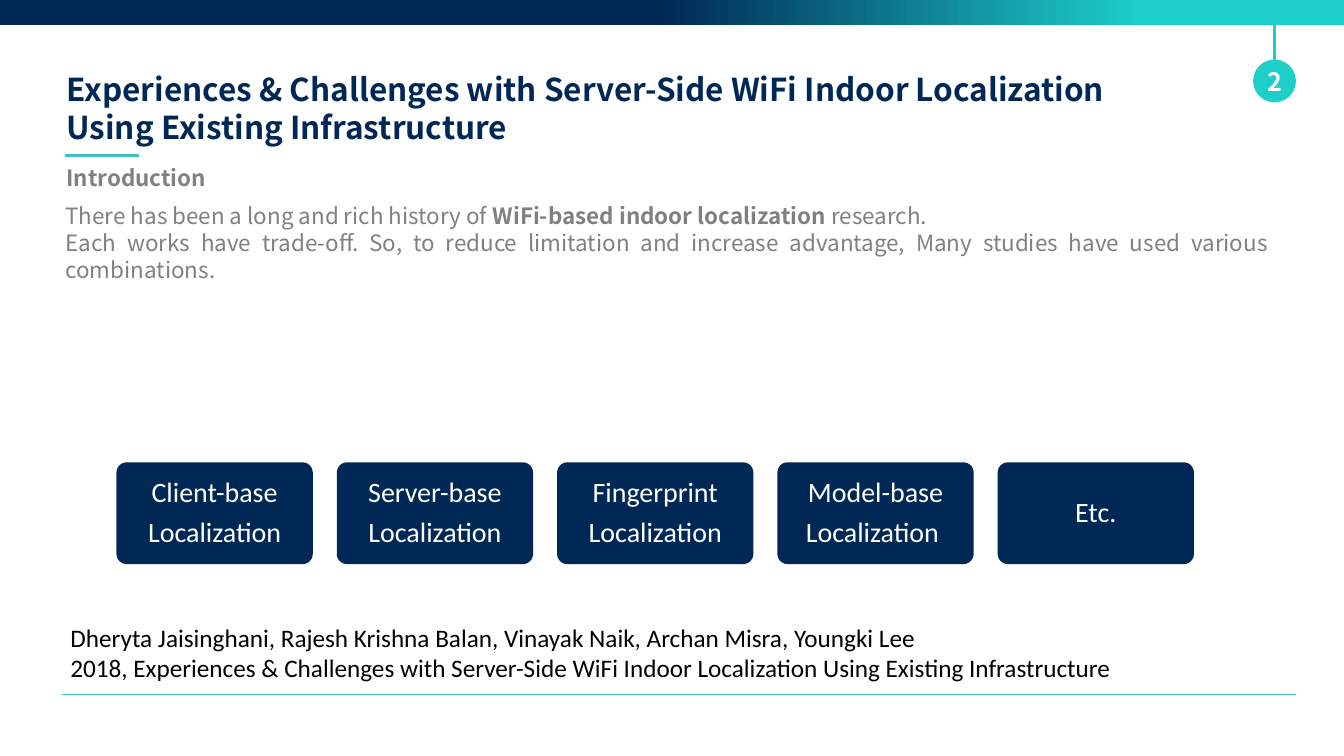
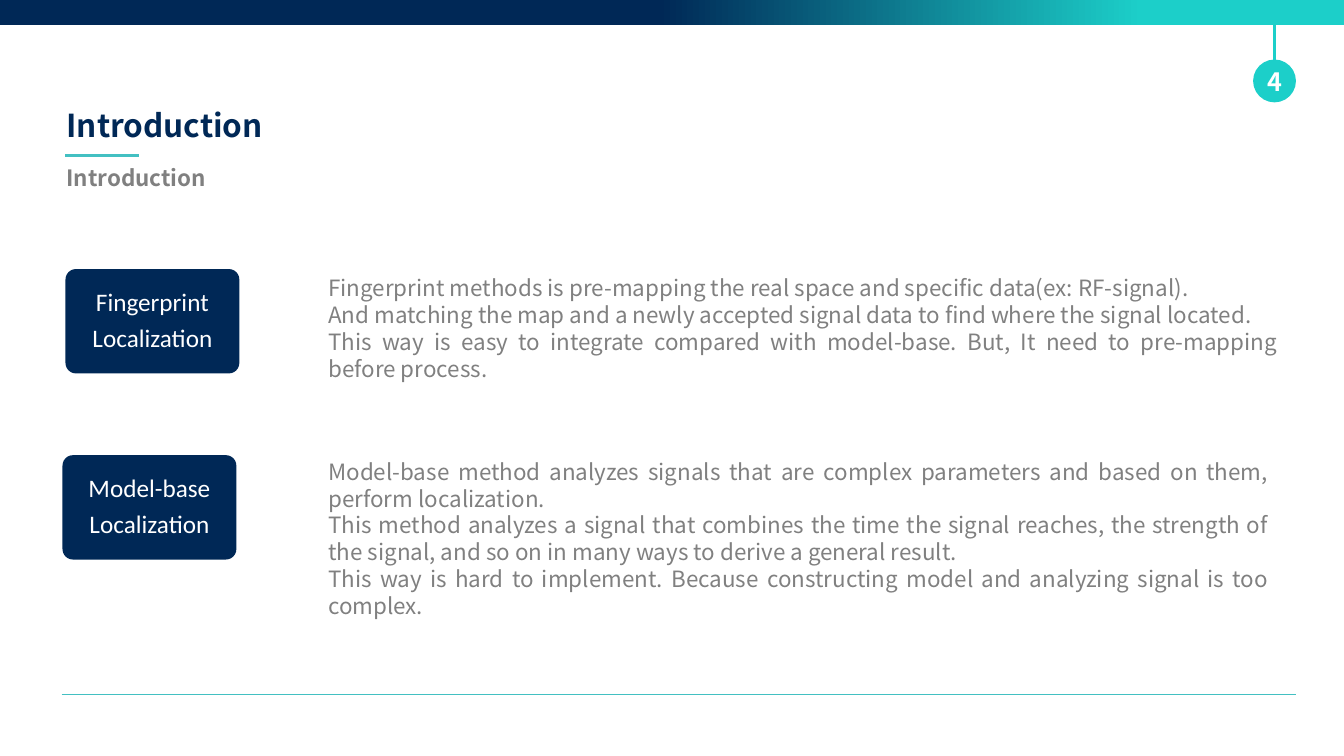
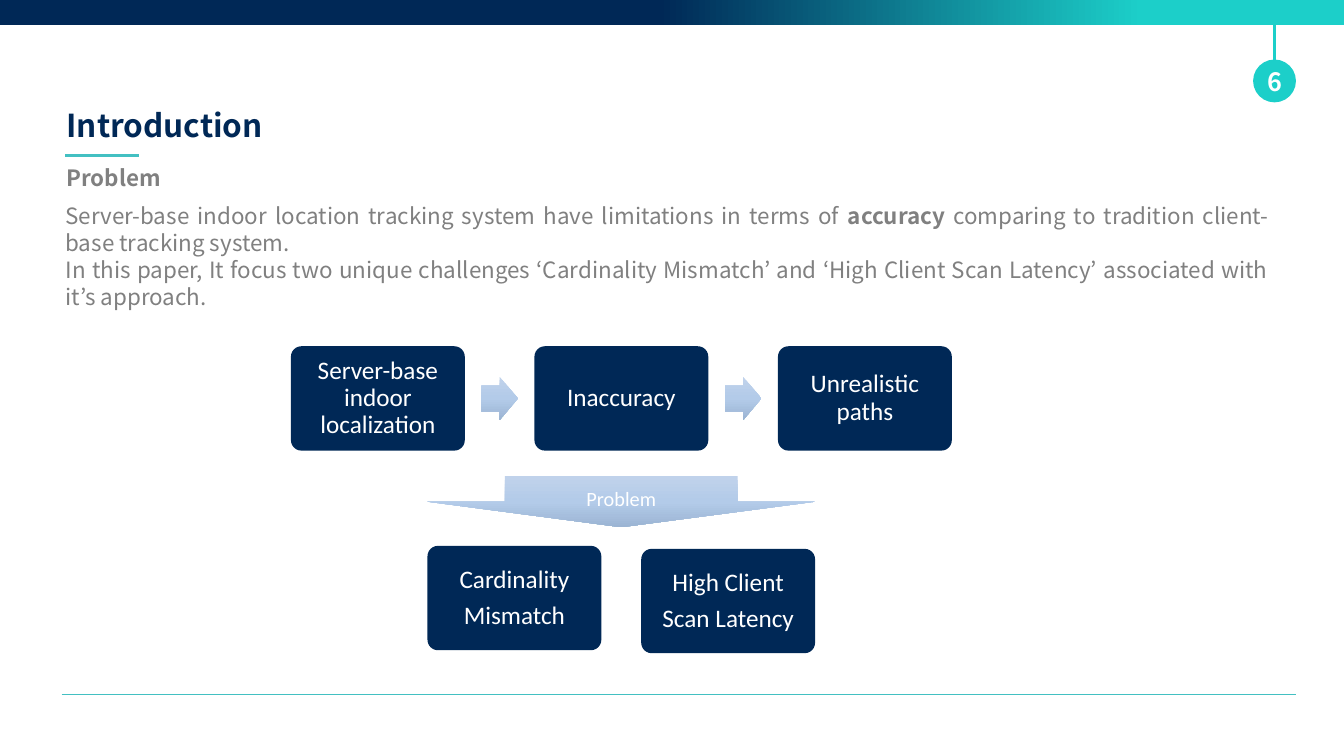
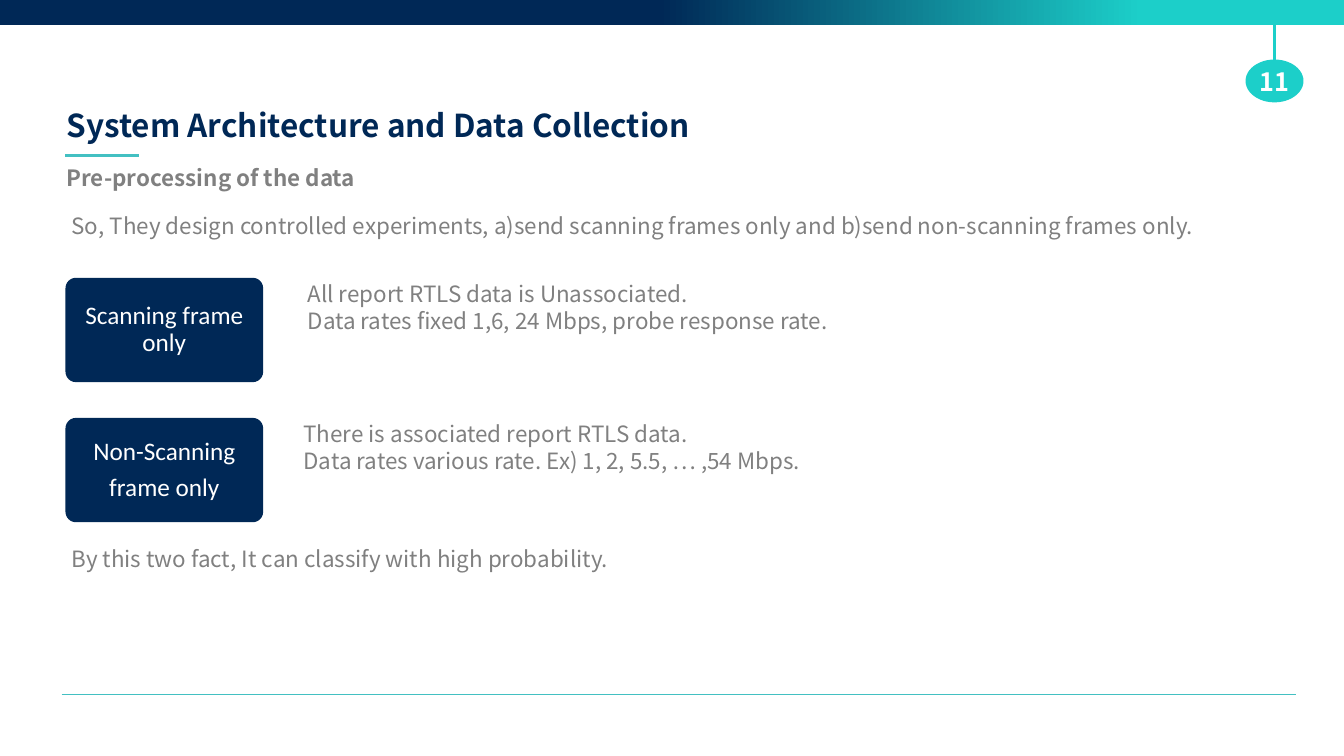
from copy import deepcopy

from pptx import Presentation
from pptx.dml.color import RGBColor
from pptx.enum.shapes import MSO_CONNECTOR, MSO_SHAPE
from pptx.enum.text import MSO_ANCHOR, MSO_AUTO_SIZE, PP_ALIGN
from pptx.oxml.ns import qn
from pptx.util import Cm, Pt
from lxml import etree

NAVY = RGBColor(0x00, 0x28, 0x56)
AQUA = RGBColor(0x1C, 0xCF, 0xC9)
TEAL = RGBColor(0x43, 0xC0, 0xC2)
GRAY = RGBColor(0x80, 0x80, 0x80)
WHITE = RGBColor(0xFF, 0xFF, 0xFF)
BLACK = RGBColor(0x00, 0x00, 0x00)
BAND_STOPS = [(0.49, NAVY), (0.85, AQUA)]
ARROW_STOPS = [
    (0, RGBColor(0xC0, 0xD2, 0xEB)),
    (0.5, RGBColor(0xB3, 0xCB, 0xE9)),
    (1, RGBColor(0x9B, 0xB4, 0xD3)),
]
HEAD_FONT, BOX_FONT = "Noto Sans CJK KR", "Calibri"

LEFT, CENTER, JUSTIFY = PP_ALIGN.LEFT, PP_ALIGN.CENTER, PP_ALIGN.JUSTIFY
TOP, MIDDLE = MSO_ANCHOR.TOP, MSO_ANCHOR.MIDDLE
RECTANGLE, ELLIPSE = MSO_SHAPE.RECTANGLE, MSO_SHAPE.OVAL
ROUNDED = MSO_SHAPE.ROUNDED_RECTANGLE
RIGHT_ARROW, DOWN_ARROW = MSO_SHAPE.RIGHT_ARROW, MSO_SHAPE.DOWN_ARROW

# All positions and sizes are centimetres.
PAGE_W, PAGE_H = 67.72, 38.1
MARGIN, TITLE_W = 3.1, 58.95
BADGE_X = 64.22
PLAIN_INSETS = (0.25, 0.13, 0.25, 0.13)
BODY_INSETS = (0.51, 0.13, 0.3, 0.13)
BOX_INSETS = (0.53, 0.53, 0.53, 0.53)
BOX_W, BOX_H = 8.76, 5.26
WIDE_BOX_W = 9.96
FLOW_TOP, FLOW_PITCH = 17.45, 12.27
ARROW_W, ARROW_H = 1.85, 2.18

# Body texts: (left, top, width, height, lines); ** marks bold.
# Boxes: (left, top, width, height, lines, size in points).
PAGES = [
    {
        "number": "2",
        "title": ["Experiences & Challenges with Server-Side WiFi Indoor Localization",
                  "Using Existing Infrastructure"],
        "subtitle": "Introduction",
        "bodies": [(2.79, 10.08, 61.44, 5.74, [
            "There has been a long and rich history of **WiFi-based indoor localization** research.",
            "Each works have trade-off. So, to reduce limitation and increase advantage, "
            "Many studies have used various combinations."])],
        "boxes": [(5.87 + 11.1 * i, 23.3, 9.89, 5.13, lines, 40) for i, lines in enumerate([
            ["Client-base", "Localization"],
            ["Server-base", "Localization"],
            ["Fingerprint", "Localization"],
            ["Model-base", "Localization "],
            ["Etc."]])],
        "reference": [
            "Dheryta Jaisinghani, Rajesh Krishna Balan, Vinayak Naik, Archan Misra, Youngki Lee",
            "2018, Experiences & Challenges with Server-Side WiFi Indoor Localization "
            "Using Existing Infrastructure"],
    },
    {
        "number": "4",
        "title": ["Introduction"],
        "subtitle": "Introduction",
        "bodies": [
            (16.03, 13.69, 48.67, 7.09, [
                "Fingerprint methods is pre-mapping the real space and specific data(ex: RF-signal).",
                "And matching the map and a newly accepted signal data to find where the signal located.",
                "This way is easy to integrate compared with model-base. But, It need to "
                "pre-mapping before process."]),
            (16.03, 22.94, 48.21, 9.83, [
                "Model-base method analyzes signals that are complex parameters and based on them, "
                "perform localization.",
                "This method analyzes a signal that combines the time the signal reaches, the strength "
                "of the signal, and so on in many ways to derive a general result.",
                "This way is hard to implement. Because constructing model and analyzing signal "
                "is too complex."])],
        "boxes": [(3.3, 13.56, BOX_W, BOX_H, ["Fingerprint", "Localization"], 36),
                  (3.15, 22.94, BOX_W, BOX_H, ["Model-base", "Localization"], 36)],
    },
    {
        "number": "6",
        "title": ["Introduction"],
        "subtitle": "Problem",
        "bodies": [(2.79, 10.08, 61.44, 5.74, [
            "Server-base indoor location tracking system have limitations in terms of **accuracy** "
            "comparing to tradition client-base tracking system.",
            "In this paper, It focus two unique challenges ‘Cardinality Mismatch’ and "
            "‘High Client Scan Latency’ associated with it’s approach."])],
        "flow": ["Server-base indoor localization", "Inaccuracy", "Unrealistic paths"],
        "result": "Problem",
        "boxes": [(21.54, 27.51, BOX_W, BOX_H, ["Cardinality", "Mismatch"], 36),
                  (32.31, 27.66, BOX_W, BOX_H, ["High Client", "Scan Latency"], 36)],
    },
    {
        "number": "11",
        "title": ["System Architecture and Data Collection"],
        "subtitle": "Pre-processing of the data",
        "bodies": [
            (MARGIN, 10.57, TITLE_W, 1.63, [
                "So, They design controlled experiments, a)send scanning frames only and "
                "b)send non-scanning frames only."]),
            (14.99, 14, 49.45, 3, [
                "All report RTLS data is Unassociated.",
                "Data rates fixed 1,6, 24 Mbps, probe response rate."]),
            (14.78, 21.06, 49.45, 3, [
                "There is associated report RTLS data.",
                "Data rates various rate. Ex) 1, 2, 5.5, … ,54 Mbps."]),
            (MARGIN, 27.36, TITLE_W, 1.63, [
                "By this two fact, It can classify with high probability."])],
        "boxes": [(3.3, 14, WIDE_BOX_W, BOX_H, ["Scanning frame only"], 36),
                  (3.3, 21.06, WIDE_BOX_W, BOX_H, ["Non-Scanning", "frame only"], 36)],
    },
]


def write(shape, lines, size, color, font=HEAD_FONT, bold=False, align=LEFT,
          anchor=TOP, insets=PLAIN_INSETS):
    """Fill a shape with one paragraph per line; text between ** is bold."""
    frame = shape.text_frame
    frame.text = "\n".join(line.replace("**", "") for line in lines)
    frame.word_wrap = True
    frame.auto_size = MSO_AUTO_SIZE.NONE
    frame.vertical_anchor = anchor
    frame.margin_left, frame.margin_top, frame.margin_right, frame.margin_bottom = map(Cm, insets)
    for para, line in zip(frame.paragraphs, lines):
        para.alignment = align
        para.text = ""
        for index, part in enumerate(line.split("**")):
            span = para.add_run()
            span.text = part
            span.font.name = font
            span.font.size = Pt(size)
            span.font.bold = bold or index % 2 == 1
            span.font.color.rgb = color


def add_text(page, left, top, width, height, lines, size, color, **style):
    box = page.shapes.add_textbox(Cm(left), Cm(top), Cm(width), Cm(height))
    write(box, lines, size, color, **style)


def add_shape(page, kind, left, top, width, height, color=None):
    shape = page.shapes.add_shape(kind, Cm(left), Cm(top), Cm(width), Cm(height))
    shape.shadow.inherit = False
    shape.line.fill.background()
    if color is not None:
        shape.fill.solid()
        shape.fill.fore_color.rgb = color
    return shape


def fill_gradient(shape, stops, angle):
    """Give a linear gradient; the angle runs counter-clockwise."""
    shape.fill.gradient()
    shape.fill.gradient_angle = angle
    stop_list = shape.fill._xPr.find(qn("a:gradFill")).find(qn("a:gsLst"))
    while len(stop_list) < len(stops):
        stop_list.append(deepcopy(stop_list[-1]))
    for stop, (position, color) in zip(shape.fill.gradient_stops, stops):
        stop.position = position
        stop.color.rgb = color


def add_line(page, start, end, color, width):
    line = page.shapes.add_connector(MSO_CONNECTOR.STRAIGHT, *map(Cm, start + end))
    line.line.color.rgb = color
    line.line.width = Pt(width)
    etree.SubElement(line._element.spPr, qn("a:effectLst"))


def style_box_text(shape, lines, size, insets=BOX_INSETS):
    write(shape, lines, size, WHITE, font=BOX_FONT, align=CENTER, anchor=MIDDLE, insets=insets)
    for para in shape.text_frame.paragraphs:
        para.line_spacing = 0.9
        para.space_after = Pt(round(0.35 * size, 1))


def add_box(page, left, top, width, height, lines, size):
    box = add_shape(page, ROUNDED, left, top, width, height, NAVY)
    box.adjustments[0] = 0.1
    style_box_text(box, lines, size)


def add_arrow(page, kind, left, top, width, height):
    arrow = add_shape(page, kind, left, top, width, height)
    arrow.adjustments[0], arrow.adjustments[1] = 0.6, 0.5
    fill_gradient(arrow, ARROW_STOPS, 270)
    return arrow


def add_flow(page, steps, result):
    """Draw a row of steps with arrows between, and the wide arrow below."""
    gap = FLOW_PITCH - BOX_W
    for index, step in enumerate(steps):
        left = 14.66 + index * FLOW_PITCH
        if index:
            add_arrow(page, RIGHT_ARROW, left - (gap + ARROW_W) / 2,
                      FLOW_TOP + (BOX_H - ARROW_H) / 2, ARROW_W, ARROW_H)
        add_box(page, left, FLOW_TOP, BOX_W, BOX_H, [step], 36)
    wide_arrow = add_arrow(page, DOWN_ARROW, 21.54, 24, 19.53, 2.57)
    style_box_text(wide_arrow, [result], 29, insets=(0, 0.58, 0, 0))


def add_frame(page, content):
    """Add what every page shares: title, subtitle, rules, band and number."""
    title = page.shapes.title
    height = 2.18 if len(content["title"]) == 1 else 4.11
    title.left, title.width = Cm(MARGIN), Cm(TITLE_W)
    title.top, title.height = Cm(5.21 if height < 3 else 3.4), Cm(height)
    write(title, content["title"], 45, NAVY, bold=True)
    add_text(page, MARGIN, 8.15, 15.95, 1.63, [content["subtitle"]], 32, GRAY, bold=True)

    add_line(page, (3.3, 7.85), (7.01, 7.85), TEAL, 4.5)
    add_line(page, (MARGIN, 35), (65.3, 35), TEAL, 0.5)
    band = add_shape(page, RECTANGLE, 0, 0, PAGE_W, 1.24)
    fill_gradient(band, BAND_STOPS, 0)
    add_line(page, (BADGE_X, 1.24), (BADGE_X, 4.06), AQUA, 3.25)
    width = 2.16 if len(content["number"]) == 1 else 2.92
    badge = add_shape(page, ELLIPSE, BADGE_X - width / 2, 3, width, 2.16, AQUA)
    write(badge, [content["number"]], 36, WHITE, bold=True, align=CENTER,
          anchor=MIDDLE, insets=(0, 0, 0, 0))


def main():
    deck = Presentation()
    deck.slide_width, deck.slide_height = Cm(PAGE_W), Cm(PAGE_H)
    for content in PAGES:
        page = deck.slides.add_slide(deck.slide_layouts[5])
        add_frame(page, content)
        for left, top, width, height, lines in content["bodies"]:
            add_text(page, left, top, width, height, lines, 32, GRAY,
                     align=JUSTIFY, insets=BODY_INSETS)
        if "flow" in content:
            add_flow(page, content["flow"], content["result"])
        for box in content["boxes"]:
            add_box(page, *box)
        if "reference" in content:
            add_text(page, 3.3, 31.22, 53.77, 3.33, content["reference"], 36, BLACK, font=BOX_FONT)
    deck.save("out.pptx")


if __name__ == "__main__":
    main()
